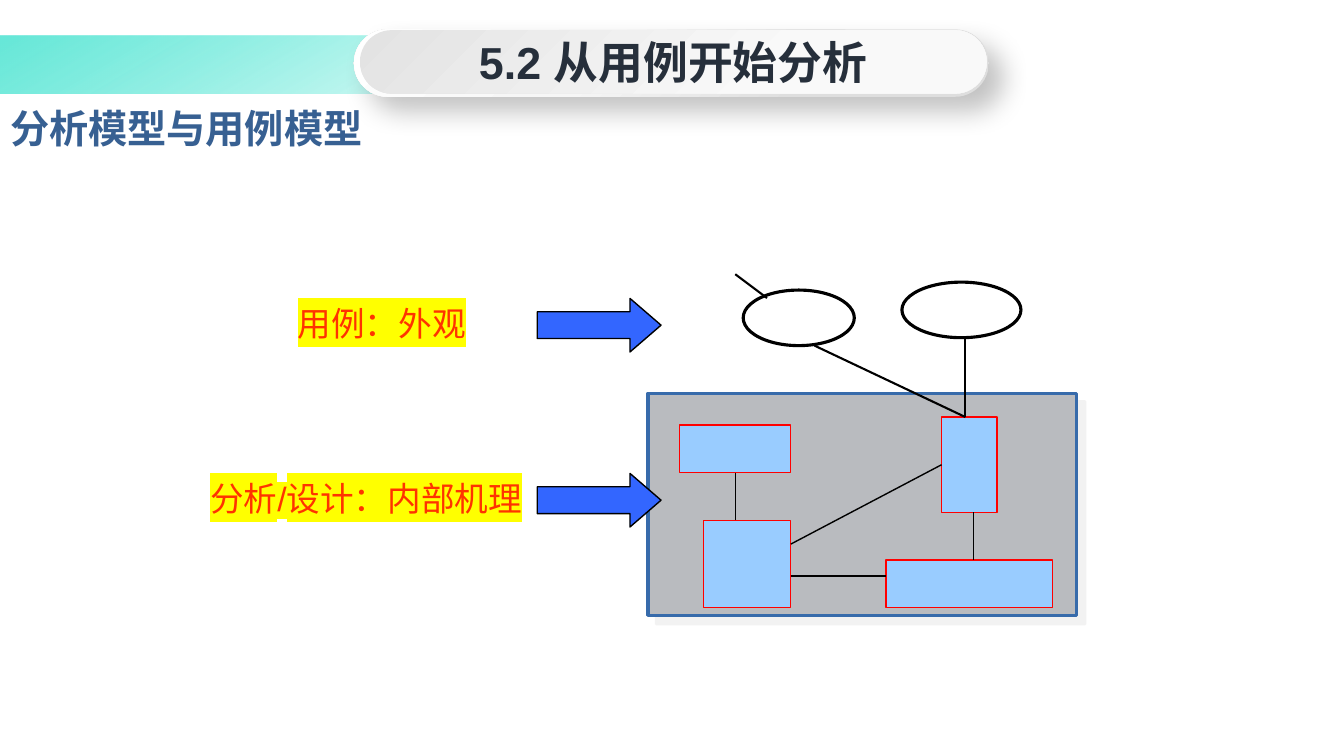
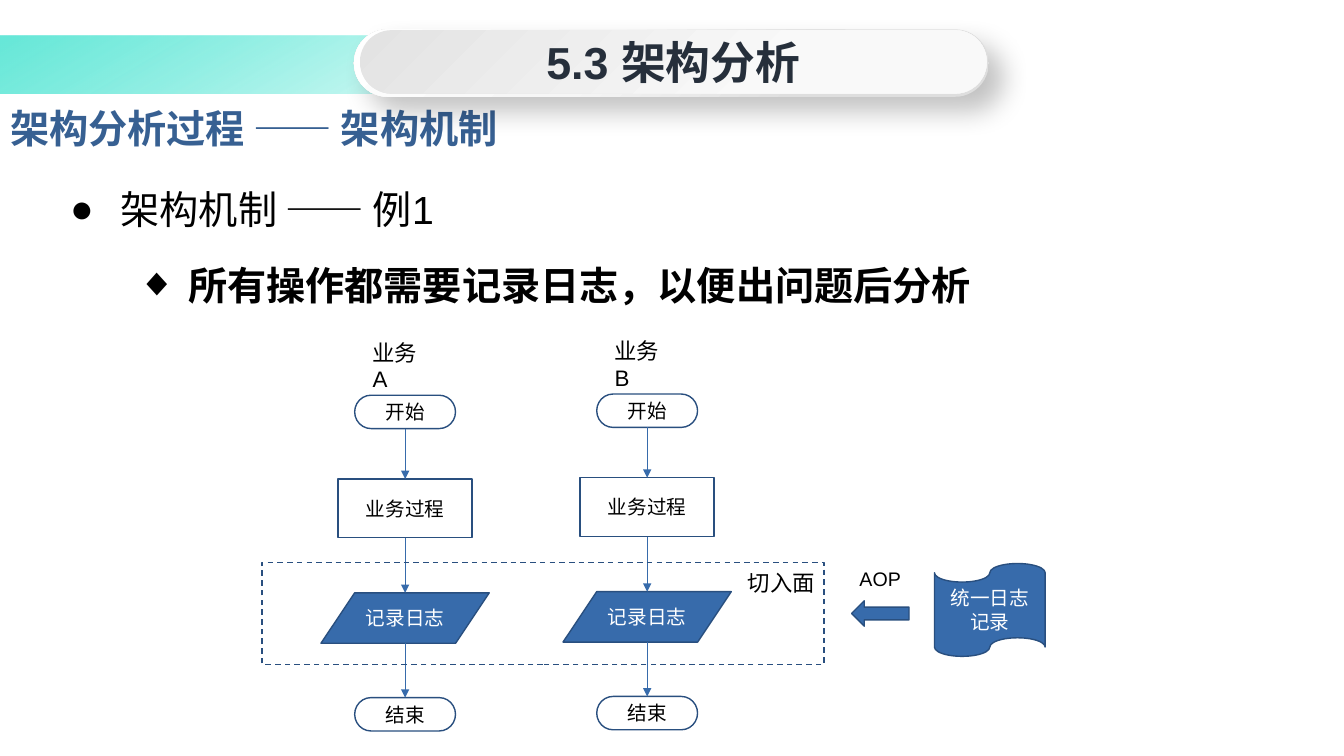
from dataclasses import dataclass

from lxml.etree import SubElement
from pptx import Presentation
from pptx.dml.color import RGBColor
from pptx.enum.dml import MSO_LINE
from pptx.enum.shapes import MSO_CONNECTOR, MSO_SHAPE
from pptx.enum.text import MSO_ANCHOR, PP_ALIGN
from pptx.oxml.ns import qn
from pptx.util import Cm, Pt


@dataclass(frozen=True)
class Theme:
    font: str = "Arial"
    black: str = "000000"
    white: str = "FFFFFF"
    heading: str = "262F3B"
    title: str = "376092"
    blue: str = "376BAB"
    dark_blue: str = "294F7F"
    frame: str = "B9BBBF"
    frame_shadow: str = "E7E6E6"
    box: str = "99CCFF"
    box_line: str = "FF0000"
    arrow: str = "3366FF"
    label: str = "FF3300"
    marker: str = "FFFF00"
    heading_size: int = 32
    body_size: int = 28
    label_size: int = 24
    note_size: int = 16
    step_size: int = 14
    # gradient stops: position %, colour, opacity %
    band_stops: tuple = ((1, "4EE4D2", 85), (50, "20E2CB", 0))
    rim_stops: tuple = ((1, "DEDEDE", 100), (30, "E0E0E0", 100),
                        (61, "F6F6F6", 100), (100, "FFFFFF", 100))
    pill_stops: tuple = ((0, "E3E3E3", 100), (67, "F9F9F9", 100))


T = Theme()


def add_color(parent, color, opacity=100):
    clr = SubElement(parent, qn("a:srgbClr"), val=color)
    if opacity < 100:
        SubElement(clr, qn("a:alpha"), val=str(opacity * 1000))


def set_gradient(sp, stops, angle):
    """Fill with a linear gradient; angle is clockwise in degrees."""
    sp.fill.gradient()
    grad = sp._element.spPr.find(qn("a:gradFill"))
    for child in list(grad):
        grad.remove(child)
    gs_list = SubElement(grad, qn("a:gsLst"))
    for pos, color, opacity in stops:
        add_color(SubElement(gs_list, qn("a:gs"), pos=str(pos * 1000)), color, opacity)
    SubElement(grad, qn("a:lin"), ang=str(angle * 60000), scaled="0")


def set_shadow(sp, color, opacity, blur, dist, angle=45):
    effects = sp._element.spPr.find(qn("a:effectLst"))
    shadow = SubElement(effects, qn("a:outerShdw"), blurRad=str(Pt(blur)),
                        dist=str(Pt(dist)), dir=str(angle * 60000),
                        algn="tl", rotWithShape="0")
    add_color(shadow, color, opacity)


def add_run(p, text, size, color=T.black, bold=False, highlight=None):
    r = p.add_run()
    r.text = text
    formats = {"name": T.font, "size": Pt(size), "bold": bold}
    for name, value in formats.items():
        setattr(r.font, name, value)
    r.font.color.rgb = RGBColor.from_string(color)
    if highlight:
        rPr = r.font._element
        mark = SubElement(rPr, qn("a:highlight"))
        add_color(mark, highlight)
        rPr.find(qn("a:solidFill")).addnext(mark)


def format_frame(tf, anchor=MSO_ANCHOR.TOP, wrap=True):
    for name, value in {"vertical_anchor": anchor, "word_wrap": wrap}.items():
        setattr(tf, name, value)


def add_box(s, kind, box, fill=None, line=None, width=1, adjust=()):
    sp = s.shapes.add_shape(kind, *(Cm(v) for v in box))
    sp.shadow.inherit = False
    for i, value in enumerate(adjust):
        sp.adjustments[i] = value
    if fill:
        sp.fill.solid()
        sp.fill.fore_color.rgb = RGBColor.from_string(fill)
    else:
        sp.fill.background()
    if line:
        sp.line.color.rgb = RGBColor.from_string(line)
        sp.line.width = Pt(width)
    else:
        sp.line.fill.background()
    return sp


def write_in(sp, text, size, color=T.black, bold=False, wrap=False):
    tf = sp.text_frame
    format_frame(tf, MSO_ANCHOR.MIDDLE, wrap)
    p = tf.paragraphs[0]
    p.alignment = PP_ALIGN.CENTER
    add_run(p, text, size, color, bold)


def add_text(s, box, text, size, color=T.black, wrap=True,
             align=PP_ALIGN.LEFT, highlight=None):
    tf = s.shapes.add_textbox(*(Cm(v) for v in box)).text_frame
    format_frame(tf, wrap=wrap)
    p = tf.paragraphs[0]
    p.alignment = align
    add_run(p, text, size, color, highlight=highlight)


def add_line(s, start, end, color, width, arrow=False):
    cxn = s.shapes.add_connector(MSO_CONNECTOR.STRAIGHT,
                                 *(Cm(v) for v in (*start, *end)))
    cxn.line.color.rgb = RGBColor.from_string(color)
    cxn.line.width = Pt(width)
    spPr = cxn._element.spPr
    if arrow:
        SubElement(spPr.find(qn("a:ln")), qn("a:tailEnd"), type="triangle")
    SubElement(spPr, qn("a:effectLst"))


def add_slide(prs, section, title):
    """Title-only slide with the colour band, section pill and title."""
    s = prs.slides.add_slide(prs.slide_layouts[5])
    band = add_box(s, MSO_SHAPE.RECTANGLE, (0, 0.91, 33.42, 1.45))
    set_gradient(band, T.band_stops, 60)
    s.shapes._spTree.insert(2, band._element)

    sp = s.shapes.title
    place = {"left": 0, "top": 2.36, "width": 33.87, "height": 1.7}
    for name, value in place.items():
        setattr(sp, name, Cm(value))
    format_frame(sp.text_frame, MSO_ANCHOR.MIDDLE)
    p = sp.text_frame.paragraphs[0]
    p.alignment = PP_ALIGN.LEFT
    add_run(p, title, T.body_size, T.title, bold=True)

    rim = add_box(s, MSO_SHAPE.ROUNDED_RECTANGLE, (8.92, 0.74, 16, 1.7), adjust=(0.5,))
    set_gradient(rim, T.rim_stops, 225)
    set_shadow(rim, T.black, 24, 19, 14)
    pill = add_box(s, MSO_SHAPE.ROUNDED_RECTANGLE, (9.07, 0.76, 15.8, 1.6), adjust=(0.5,))
    set_gradient(pill, T.pill_stops, 45)
    write_in(pill, section, T.heading_size, T.heading, bold=True)
    return s


def add_system(s, x, y):
    """Use cases above a framed set of linked classes."""
    frame = add_box(s, MSO_SHAPE.RECTANGLE, (x, y + 3, 10.8, 5.6), T.frame, T.blue, 2.25)
    set_shadow(frame, T.frame_shadow, 50, 0, 8.5)
    classes = ((0.8, 3.8, 2.8, 1.2), (7.4, 3.6, 1.4, 2.4),
               (1.4, 6.2, 2.2, 2.2), (6, 7.2, 4.2, 1.2))
    for dx, dy, w, h in classes:
        add_box(s, MSO_SHAPE.RECTANGLE, (x + dx, y + dy, w, h), T.box, T.box_line)
    for dx, dy, w, h in ((2.4, 0.4, 2.8, 1.4), (6.4, 0.2, 3, 1.4)):
        add_box(s, MSO_SHAPE.OVAL, (x + dx, y + dy, w, h), line=T.black, width=2.25)
    class_links = ((3.6, 6.8, 7.4, 4.8), (8.2, 7.2, 8.2, 6),
                   (3.6, 7.6, 6, 7.6), (2.2, 5, 2.2, 6.2))
    case_links = ((4.2, 1.8, 8, 3.6), (8, 1.6, 8, 3.6), (3, 0.6, 2.2, 0))
    for links, width in ((class_links, 1), (case_links, 1.5)):
        for x1, y1, x2, y2 in links:
            add_line(s, (x + x1, y + y1), (x + x2, y + y2), T.black, width)


def add_view(s, x, y, width, text, align):
    """Highlighted label with a block arrow in the common arrow column."""
    add_text(s, (x, y, width, 1.27), text, T.label_size, T.label,
             align=align, highlight=T.marker)
    add_box(s, MSO_SHAPE.RIGHT_ARROW, (13.54, y, 3.12, 1.35), T.arrow, T.black,
            adjust=(0.5, 0.58))


def add_bullets(s, box, items):
    """Items are (text, bullet, level, margin, line spacing, space before, bold)."""
    tf = s.shapes.add_textbox(*(Cm(v) for v in box)).text_frame
    format_frame(tf)
    for i, (text, bullet, level, margin, spacing, before, bold) in enumerate(items):
        p = tf.add_paragraph() if i else tf.paragraphs[0]
        formats = {"level": level, "line_spacing": spacing, "space_before": Pt(before)}
        for name, value in formats.items():
            setattr(p, name, value)
        pPr = p._p.get_or_add_pPr()
        pPr.set("marL", str(Cm(margin)))
        pPr.set("indent", str(Cm(-1.27)))
        SubElement(pPr, qn("a:buFont"), typeface=T.font)
        SubElement(pPr, qn("a:buChar"), char=bullet)
        add_run(p, text, T.body_size, bold=bold)


def add_flow(s, center, top, name):
    """Vertical flow chart of one business, centred on a line."""
    steps = (
        ("开始", MSO_SHAPE.FLOWCHART_TERMINATOR, 0, 2.54, 0.84, None, T.black),
        ("业务过程", MSO_SHAPE.RECTANGLE, 2.11, 3.38, 1.48, None, T.black),
        ("记录日志", MSO_SHAPE.FLOWCHART_DATA, 4.98, 4.24, 1.27, T.blue, T.white),
        ("结束", MSO_SHAPE.FLOWCHART_TERMINATOR, 7.62, 2.54, 0.84, None, T.black),
    )
    bottom = None
    for text, kind, dy, w, h, fill, color in steps:
        y = top + dy
        sp = add_box(s, kind, (center - w / 2, y, w, h), fill, T.dark_blue)
        write_in(sp, text, T.step_size, color)
        if bottom is not None:
            add_line(s, (center, bottom), (center, y), T.blue, 0.5, arrow=True)
        bottom = y + h
    # Narrow enough for the letter to fall on a second line
    add_text(s, (center - 1.07, top - 1.55, 1.95, 0.94), name, T.note_size)


def add_aspect(s, x, y):
    """Dashed cut across the flows, fed by the shared log."""
    cut = add_box(s, MSO_SHAPE.RECTANGLE, (x, y, 14.17, 2.57), line=T.dark_blue)
    cut.line.dash_style = MSO_LINE.DASH
    add_text(s, (x + 12, y + 0.05, 2.24, 0.94), "切入面", T.note_size, wrap=False)
    log = add_box(s, MSO_SHAPE.FLOWCHART_PUNCHED_TAPE,
                  (x + 16.95, y + 0.03, 2.79, 2.34), T.blue, T.dark_blue)
    write_in(log, "统一日志记录", T.step_size, T.white, wrap=True)
    add_box(s, MSO_SHAPE.LEFT_ARROW, (x + 14.86, y + 0.97, 1.45, 0.64),
            T.blue, T.dark_blue)
    add_text(s, (x + 14.81, y, 1.55, 0.86), "AOP", T.step_size, wrap=False)


def build_use_case_slide(prs):
    s = add_slide(prs, "5.2 从用例开始分析", "分析模型与用例模型")
    add_system(s, 16.33, 6.91)
    add_view(s, 6.32, 7.52, 6.6, "用例：外观", PP_ALIGN.CENTER)
    add_view(s, 5.05, 11.93, 8.48, "分析/设计：内部机理", PP_ALIGN.LEFT)


def build_mechanism_slide(prs):
    s = add_slide(prs, "5.3 架构分析", "架构分析过程 —— 架构机制")
    add_bullets(s, (1.52, 4.32, 30.58, 3.61), (
        ("架构机制 —— 例1", "●", 0, 1.27, 1.2, 0, False),
        ("所有操作都需要记录日志，以便出问题后分析", "◆", 1, 2.97, 1.0, 20, True),
    ))
    add_flow(s, 10.21, 9.96, "业务A")
    add_flow(s, 16.31, 9.93, "业务B")
    add_aspect(s, 6.6, 14.17)


def main():
    prs = Presentation()
    prs.slide_width, prs.slide_height = Cm(33.87), Cm(19.05)
    build_use_case_slide(prs)
    build_mechanism_slide(prs)
    prs.save("out.pptx")


if __name__ == "__main__":
    main()
